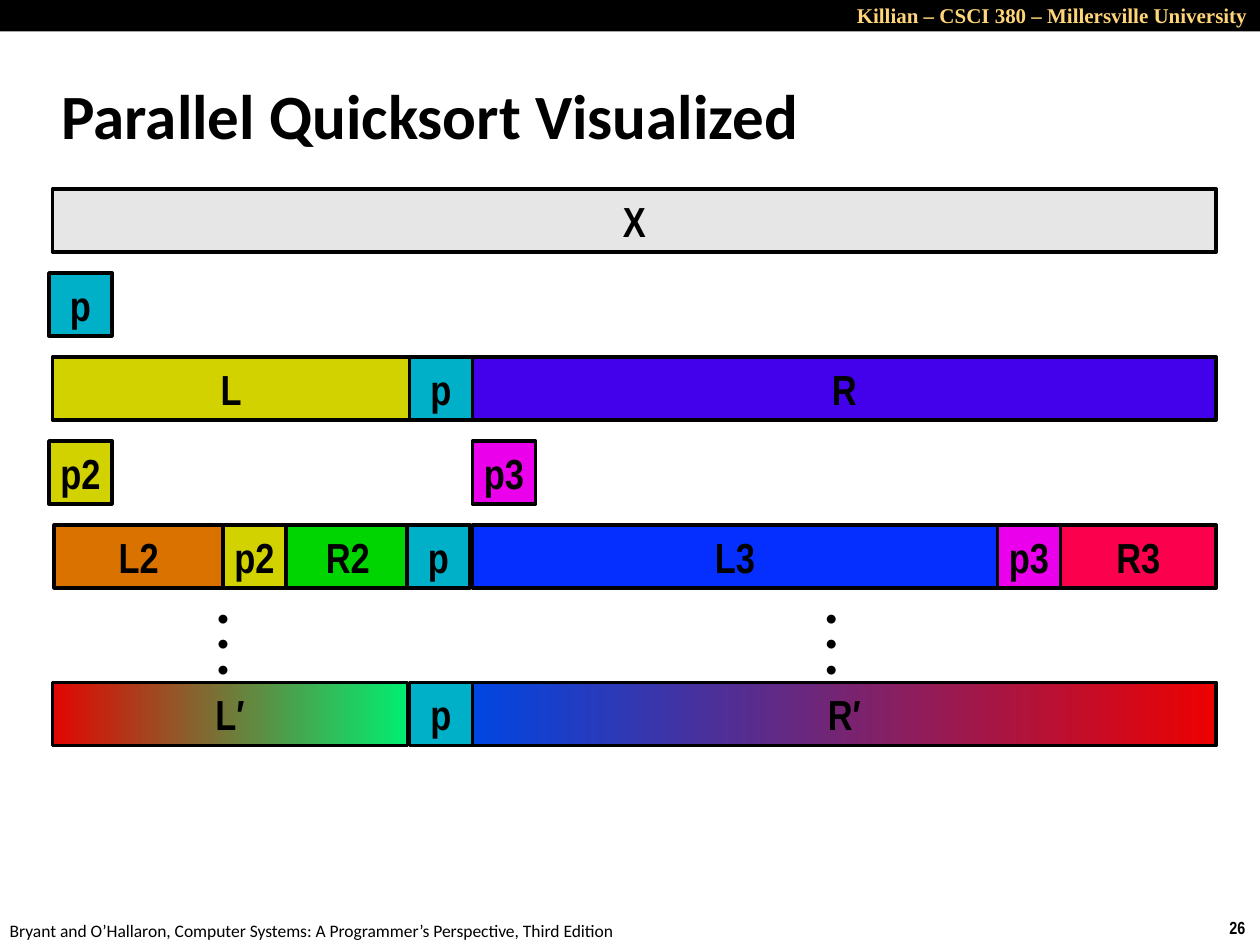
from pptx import Presentation
from pptx.dml.color import RGBColor
from pptx.enum.shapes import MSO_SHAPE as Shape
from pptx.enum.text import MSO_ANCHOR as Anchor, MSO_AUTO_SIZE as AutoSize, PP_ALIGN as Align
from pptx.util import Pt

# Content
TITLE = "Parallel Quicksort Visualized"
COURSE = "Killian – CSCI 380 – Millersville University"
BOOK = "Bryant and O’Hallaron, Computer Systems: A Programmer’s Perspective, Third Edition"
PAGE = "26"

BLACK, GOLD, GREY = "000000", "FFD579", "E6E6E6"
TEAL, OLIVE, MAGENTA = "00B0C8", "D2D200", "EA00EA"

# Each row: top, then blocks of (label, left, right, fill); two fills make a gradient
ROWS = [
    (108, [("X", 30, 695, GREY)]),
    (156, [("p", 28, 64, TEAL)]),
    (204, [("L", 30, 234, OLIVE), ("p", 234, 270, TEAL), ("R", 270, 695, "4300EA")]),
    (252, [("p2", 28, 64, OLIVE), ("p3", 270, 306, MAGENTA)]),
    (300, [("p2", 127.5, 163.5, OLIVE), ("L2", 31, 127.5, "DA7200"),
           ("R2", 163.5, 234, "01D501"), ("L3", 270, 570, "052FFF"),
           ("R3", 606, 695, "FA004D"), ("p3", 570, 606, MAGENTA),
           ("p", 232.5, 268.5, TEAL)]),
    (390, [("L′", 30, 233, ("E10601", "00EE71")), ("R′", 270, 695, ("0046E2", "ED0101")),
           ("p", 234, 270, TEAL)]),
]
BLOCK_HEIGHT = 36
DOTS_TOP, DOTS_LEFTS = 342, (117.4, 465)


def color(hex_code):
    return RGBColor.from_string(hex_code)


def write(shape, text, font_name, size, bold=True, hex_code=BLACK, align=Align.LEFT):
    shape.text_frame.text = text
    for paragraph in shape.text_frame.paragraphs:
        paragraph.alignment = align
        for run in paragraph.runs:
            run.font.name, run.font.size, run.font.bold = font_name, Pt(size), bold
            run.font.color.rgb = color(hex_code)


def add_text(slide, box, text, *style, wrap=False, **options):
    shape = slide.shapes.add_textbox(*map(Pt, box))
    write(shape, text, *style, **options)
    shape.text_frame.word_wrap = wrap
    shape.text_frame.auto_size = AutoSize.SHAPE_TO_FIT_TEXT


def add_rectangle(slide, box, fill):
    shape = slide.shapes.add_shape(Shape.RECTANGLE, *map(Pt, box))
    shape.shadow.inherit = False
    if isinstance(fill, str):
        shape.fill.solid()
        shape.fill.fore_color.rgb = color(fill)
    else:
        shape.fill.gradient()
        shape.fill.gradient_angle = 0
        for stop, hex_code in zip(shape.fill.gradient_stops, fill):
            stop.color.rgb = color(hex_code)
    return shape


def add_block(slide, label, left, top, right, fill):
    block = add_rectangle(slide, (left, top, right - left, BLOCK_HEIGHT), fill)
    block.line.color.rgb = color(BLACK)
    block.line.width = Pt(2)
    write(block, label, "Arial Narrow", 24, align=Align.CENTER)
    block.text_frame.vertical_anchor = Anchor.MIDDLE
    block.text_frame.word_wrap = False


def main():
    presentation = Presentation()
    presentation.slide_width, presentation.slide_height = Pt(720), Pt(540)
    slide = presentation.slides.add_slide(presentation.slide_layouts[5])

    # Footer and header band
    add_text(slide, (695.5, 520.5, 24.5, 19.5), PAGE, "Arial Narrow", 10)
    add_text(slide, (-1.5, 522, 366, 19.5), BOOK, "Calibri", 10, bold=False)
    add_rectangle(slide, (0, 0, 720, 18), BLACK).line.fill.background()
    add_text(slide, (324, -2, 396, 21.6), COURSE, "Times New Roman", 12,
             hex_code=GOLD, align=Align.RIGHT, wrap=True)

    # Title
    title = slide.shapes.title
    title.left, title.top, title.width, title.height = map(Pt, (28, 35.5, 598, 60))
    write(title, TITLE, "Calibri", 36)
    title.text_frame.vertical_anchor = Anchor.MIDDLE
    title.text_frame.auto_size = AutoSize.NONE

    # Array at each step of the sort
    for top, blocks in ROWS:
        for label, left, right, fill in blocks:
            add_block(slide, label, left, top, right, fill)

    # Steps left out
    for left in DOTS_LEFTS:
        add_text(slide, (left, DOTS_TOP, 20, 51), "•\n•\n•", "Calibri", 12)

    presentation.save("out.pptx")


if __name__ == "__main__":
    main()
